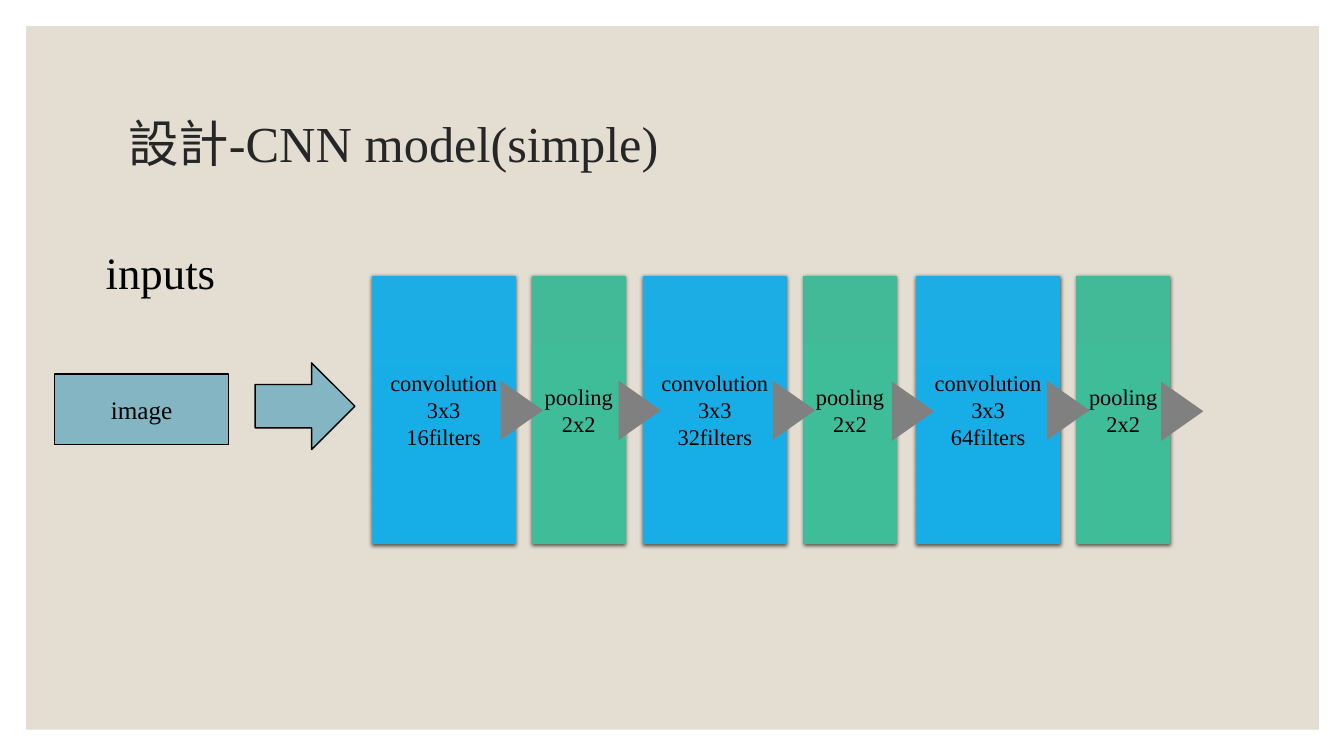
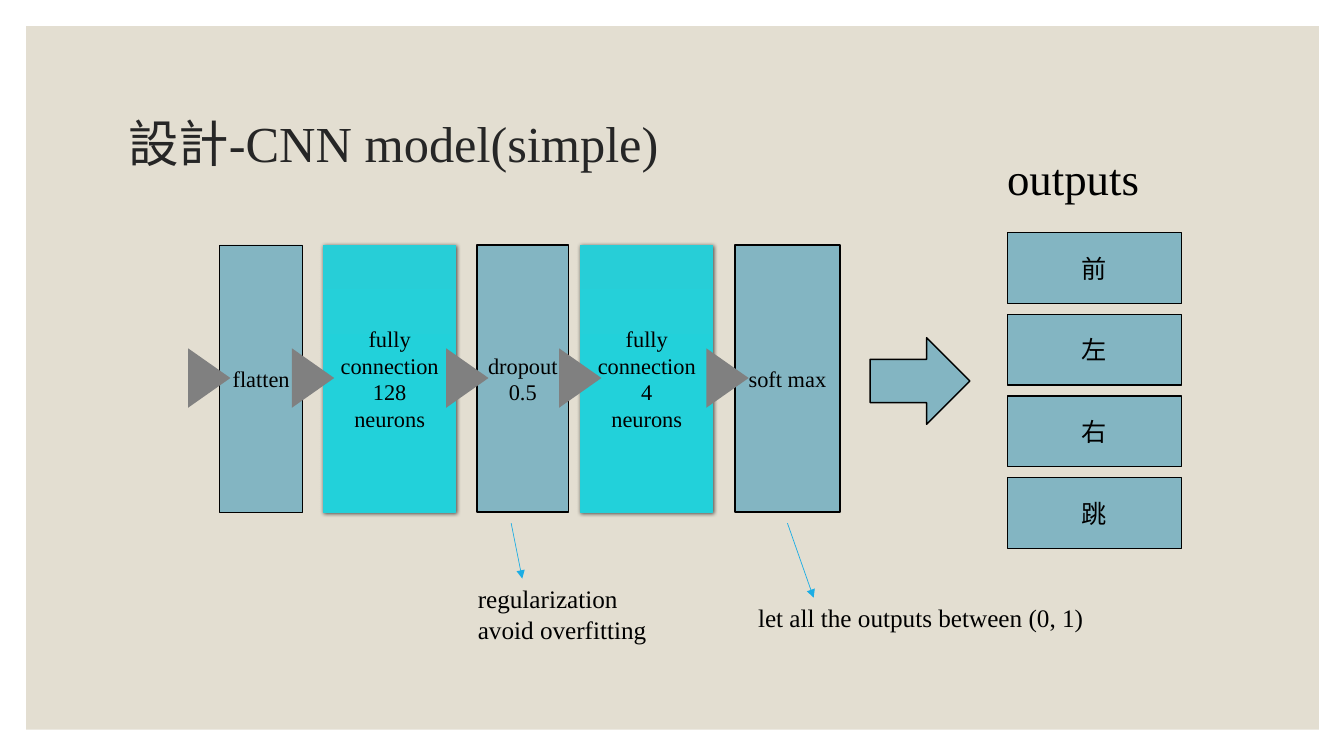
"""Build two slides that show the layers of a simple CNN model."""
from lxml import etree
from pptx import Presentation
from pptx.dml.color import RGBColor
from pptx.enum import shapes, text
from pptx.oxml import ns
from pptx.util import Inches, Pt

BLACK = RGBColor(0x00, 0x00, 0x00)
WHITE = RGBColor(0xFF, 0xFF, 0xFF)
INK = RGBColor(0x26, 0x26, 0x26)
SAND = RGBColor(0xE3, 0xDE, 0xD1)
STEEL = RGBColor(0x83, 0xB5, 0xC2)
GRAY = RGBColor(0x80, 0x80, 0x80)
BLUE = (RGBColor(0x1C, 0xAD, 0xE4), RGBColor(0x17, 0xAE, 0xE8))
GREEN = (RGBColor(0x42, 0xBA, 0x97), RGBColor(0x3F, 0xBC, 0x98))
CYAN = (RGBColor(0x27, 0xCE, 0xD7), RGBColor(0x22, 0xD1, 0xDA))

FONT = "Times New Roman"
TITLE = "設計-CNN model(simple)"
LAYER_HEIGHT = 2.65
MARK_WIDTH, MARK_HEIGHT = 0.59, 0.42


def assign(target, values):
    """Set each attribute in values on the target."""
    for name, value in values.items():
        setattr(target, name, value)


class Deck:
    """Holds the presentation, its style and the current slide."""

    def __init__(self):
        self.prs = Presentation()
        assign(self.prs, {"slide_width": Inches(13.33), "slide_height": Inches(7.5)})
        self.layout = self.prs.slide_layouts.get_by_name("Title Only")
        self.slide = None

    def new_slide(self, heading):
        """Start a slide with its title; the first one also sets up the layout."""
        first = self.slide is None
        self.slide = self.prs.slides.add_slide(self.layout)
        if first:
            self.add_panel()
        title = self.slide.shapes.title
        assign(title, {"left": Inches(1.17), "top": Inches(0.7),
                       "width": Inches(11), "height": Inches(1.5)})
        self.set_words(title, heading, 36, INK, text.PP_ALIGN.LEFT, line_spacing=0.9)

    def add_panel(self):
        """Place the sand panel on the shared layout."""
        background = self.layout.background.fill
        background.solid()
        background.fore_color.rgb = WHITE
        panel = self.shape(shapes.MSO_SHAPE.RECTANGLE, 0.26, 0.26, 12.82, 6.98, SAND)
        self.layout.shapes.element.insert(2, panel.element)

    def set_words(self, shape, words, size, color=BLACK, align=text.PP_ALIGN.CENTER,
                  line_spacing=1.0, **frame_values):
        """Fill a shape with formatted paragraphs, one for each line."""
        frame = shape.text_frame
        frame.text = words
        assign(frame, {"word_wrap": True, "auto_size": text.MSO_AUTO_SIZE.NONE,
                       "vertical_anchor": text.MSO_ANCHOR.MIDDLE, **frame_values})
        for paragraph in frame.paragraphs:
            assign(paragraph, {"alignment": align, "line_spacing": line_spacing})
            assign(paragraph.font, {"name": FONT, "size": Pt(size)})
            paragraph.font.color.rgb = color

    def shape(self, kind, left, top, width, height, fill, line=None, weight=1):
        """Add a flat preset shape."""
        shape = self.slide.shapes.add_shape(
            kind, Inches(left), Inches(top), Inches(width), Inches(height))
        shape.shadow.inherit = False
        shape.fill.solid()
        shape.fill.fore_color.rgb = fill
        if line is None:
            shape.line.fill.background()
        else:
            shape.line.color.rgb = line
            shape.line.width = Pt(weight)
        return shape

    def box(self, left, top, width, height, words, size=18, weight=1):
        """Add an outlined steel box with centred text."""
        box = self.shape(shapes.MSO_SHAPE.RECTANGLE, left, top, width, height,
                         STEEL, BLACK, weight)
        self.set_words(box, words, size)

    def layer(self, left, top, width, words, shades):
        """Add a tall gradient layer with a soft shadow."""
        layer = self.shape(shapes.MSO_SHAPE.RECTANGLE, left, top, width,
                           LAYER_HEIGHT, shades[0], shades[0], 0.5)
        layer.fill.gradient()
        layer.fill.gradient_angle = 270
        for stop, shade, position in zip(layer.fill.gradient_stops, shades, (0, 0.5)):
            stop.color.rgb = shade
            stop.position = position
        effects = layer.element.spPr.find(ns.qn("a:effectLst"))
        shadow = etree.SubElement(effects, ns.qn("a:outerShdw"), blurRad="38100",
                                  dist="12700", dir="5400000", rotWithShape="0")
        tint = etree.SubElement(shadow, ns.qn("a:srgbClr"), val=str(BLACK))
        etree.SubElement(tint, ns.qn("a:alpha"), val="63000")
        self.set_words(layer, words, 16)

    def mark(self, left, top):
        """Add a gray triangle that points to the next layer."""
        mark = self.shape(shapes.MSO_SHAPE.FLOWCHART_EXTRACT, left, top,
                          MARK_WIDTH, MARK_HEIGHT, GRAY)
        mark.rotation = 90

    def arrow(self, left, top):
        """Add a block arrow pointing right."""
        self.shape(shapes.MSO_SHAPE.RIGHT_ARROW, left, top, 0.99, 0.86, STEEL, BLACK)

    def label(self, left, top, width, height, words, size, wrap=True):
        """Add a left-aligned text box."""
        label = self.slide.shapes.add_textbox(
            Inches(left), Inches(top), Inches(width), Inches(height))
        self.set_words(label, words, size, align=text.PP_ALIGN.LEFT, word_wrap=wrap,
                       auto_size=text.MSO_AUTO_SIZE.SHAPE_TO_FIT_TEXT,
                       vertical_anchor=text.MSO_ANCHOR.TOP)

    def pointer(self, x1, y1, x2, y2):
        """Add a thin line with an arrowhead at its end."""
        pointer = self.slide.shapes.add_connector(
            shapes.MSO_CONNECTOR.STRAIGHT,
            Inches(x1), Inches(y1), Inches(x2), Inches(y2))
        pointer.line.color.rgb = BLUE[0]
        pointer.line.width = Pt(0.5)
        properties = pointer.element.spPr
        etree.SubElement(properties.find(ns.qn("a:ln")), ns.qn("a:tailEnd"),
                         type="triangle")
        etree.SubElement(properties, ns.qn("a:effectLst"))


def build_inputs(deck):
    """Draw the image input and the convolution stages."""
    deck.new_slide(TITLE)
    deck.box(0.54, 3.71, 1.73, 0.7, "image")
    for left, filters in ((3.69, 16), (6.38, 32), (9.09, 64)):
        deck.layer(left, 2.74, 1.42, f"convolution\n3x3\n{filters}filters", BLUE)
        deck.layer(left + 1.59, 2.74, 0.92, "pooling\n2x2", GREEN)
    for left, top in ((4.88, 3.86), (6.05, 3.86), (7.58, 3.86),
                      (8.76, 3.87), (10.3, 3.86), (11.43, 3.87)):
        deck.mark(left, top)
    deck.label(0.95, 2.38, 1.73, 0.64, "inputs", 32)
    deck.arrow(2.53, 3.6)


def build_outputs(deck):
    """Draw the dense layers, the outputs and the remarks."""
    deck.new_slide(TITLE)
    top = 2.43
    for left, width, words, weight in ((2.18, 0.82, "flatten", 0.5),
                                       (4.73, 0.91, "dropout\n0.5", 1),
                                       (7.29, 1.04, "soft max", 1)):
        deck.box(left, top, width, LAYER_HEIGHT, words, 16, weight)
    for left, neurons in ((3.21, 128), (5.76, 4)):
        deck.layer(left, top, 1.31, f"fully\nconnection\n{neurons}\nneurons", CYAN)
    for left in (1.78, 2.81, 4.34, 5.46, 6.92):
        deck.mark(left, 3.54)
    deck.label(9.89, 1.45, 1.73, 0.64, "outputs", 32)
    for row, move in enumerate("前左右跳"):
        deck.box(9.99, 2.31 + 0.81 * row, 1.73, 0.7, move)
    deck.arrow(8.63, 3.35)
    deck.label(4.64, 5.74, 1.89, 0.71, "regularization\navoid overfitting", 18, False)
    deck.pointer(5.07, 5.19, 5.18, 5.74)
    deck.label(7.42, 5.93, 3.46, 0.4, "let all the outputs between (0, 1)", 18, False)
    deck.pointer(7.81, 5.19, 8.07, 5.93)


def main():
    """Build and save the deck."""
    deck = Deck()
    build_inputs(deck)
    build_outputs(deck)
    deck.prs.save("out.pptx")


if __name__ == "__main__":
    main()
